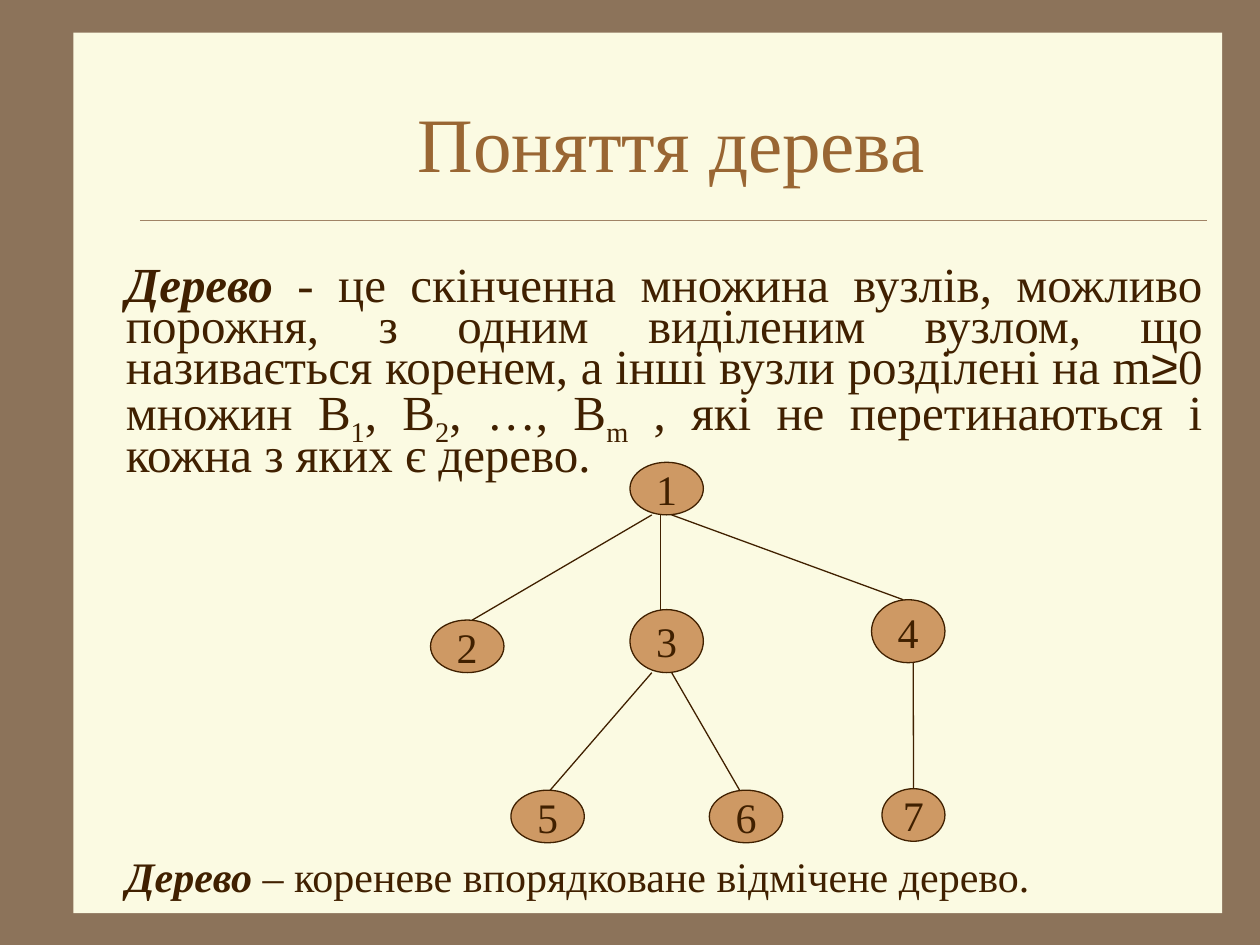
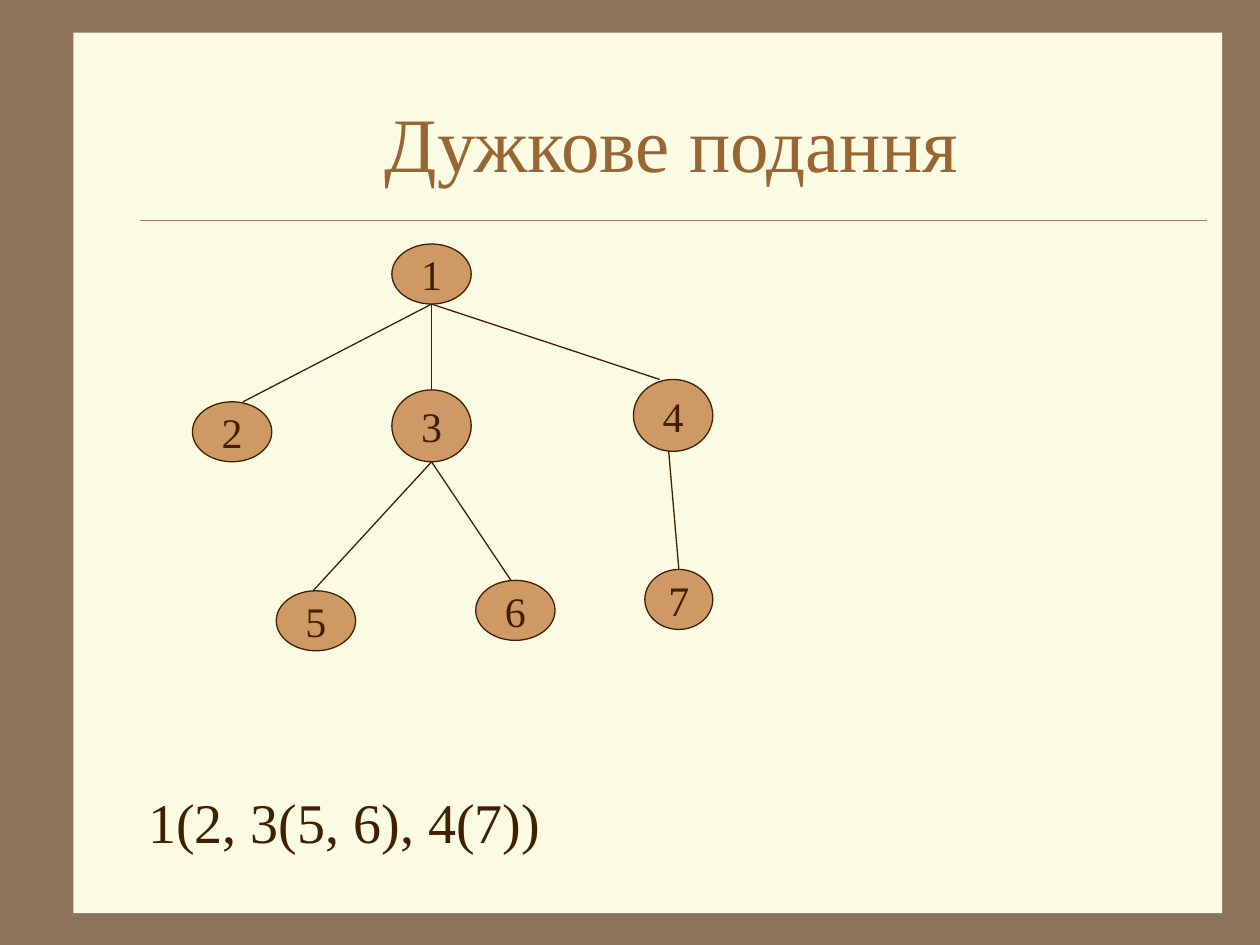
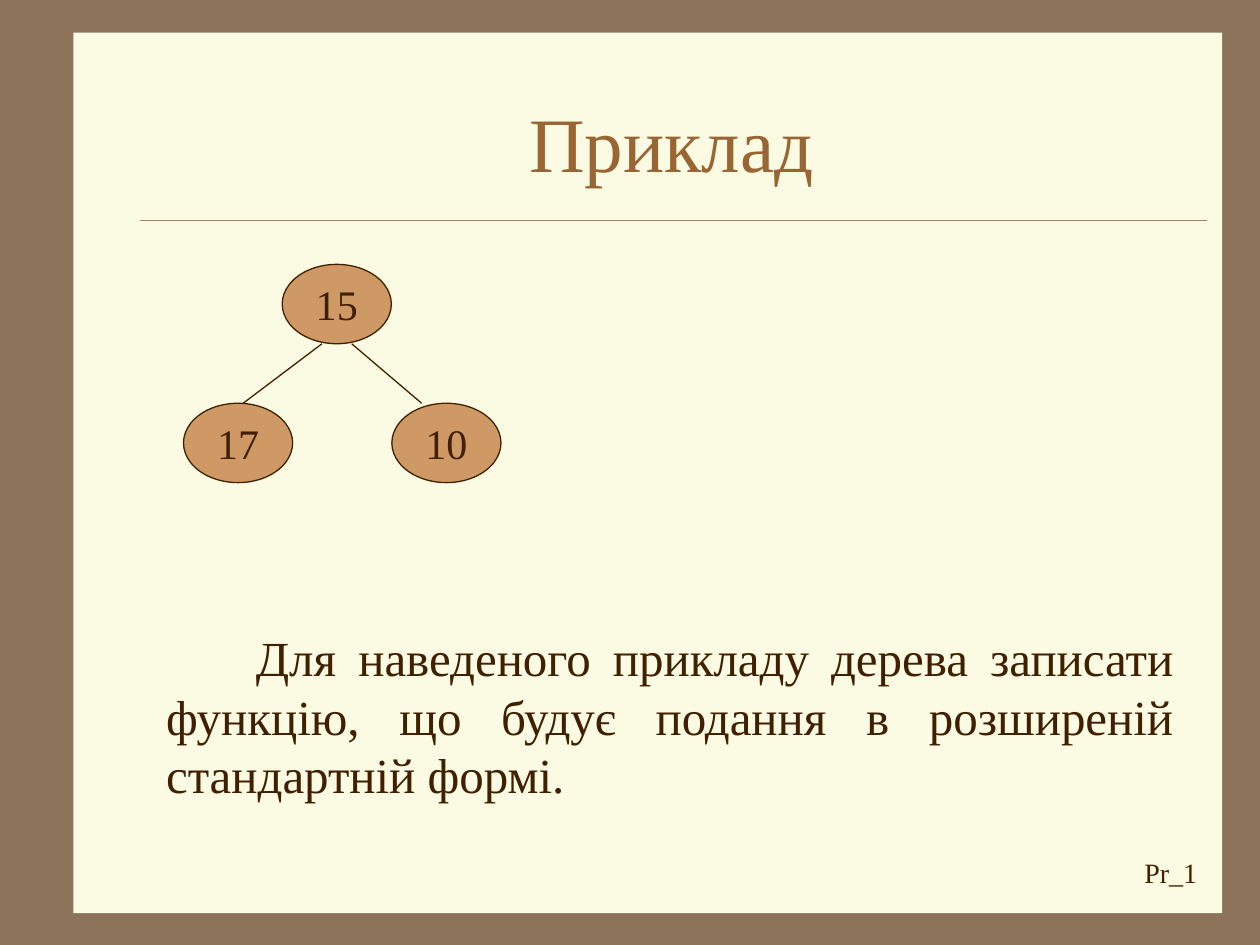
from collections import namedtuple

from lxml.etree import SubElement
from pptx import Presentation
from pptx.dml.color import RGBColor
from pptx.enum.shapes import MSO_CONNECTOR, MSO_SHAPE
from pptx.enum.text import MSO_ANCHOR, PP_ALIGN
from pptx.oxml.ns import qn
from pptx.util import Cm, Pt

FRAME = RGBColor(0x8C, 0x73, 0x5A)
PAPER = RGBColor(0xFB, 0xFA, 0xE2)
RULE = RGBColor(0xA0, 0x83, 0x66)
TITLE = RGBColor(0x99, 0x66, 0x33)
INK = RGBColor(0x40, 0x20, 0x00)
NODE = RGBColor(0xCE, 0x99, 0x64)
FONT = "Times New Roman"

# Sizes and positions are in centimetres
Node = namedtuple("Node", "left top width height")
# Shifts move the ends of an edge sideways from the node centres
Edge = namedtuple("Edge", "parent child start_shift end_shift")

DEFINITION_NODES = {
    "1": Node(12.7, 9.32, 1.48, 1.06),
    "2": Node(8.68, 12.5, 1.48, 1.06),
    "3": Node(12.7, 12.29, 1.48, 1.27),
    "4": Node(17.57, 12.09, 1.48, 1.27),
    "5": Node(10.3, 15.93, 1.48, 1.06),
    "6": Node(14.3, 15.93, 1.48, 1.06),
    "7": Node(17.78, 15.9, 1.27, 1.06),
}
DEFINITION_EDGES = [
    Edge("1", "2", -0.3, 0.1),
    Edge("1", "3", -0.13, -0.13),
    Edge("1", "4", 0.1, -0.1),
    Edge("3", "5", -0.3, 0.05),
    Edge("3", "6", 0.1, -0.13),
    Edge("4", "7", 0.1, 0),
]
BRACKET_NODES = {
    "1": Node(7.9, 4.92, 1.6, 1.21),
    "2": Node(3.88, 8.1, 1.6, 1.21),
    "3": Node(7.9, 7.86, 1.6, 1.45),
    "4": Node(12.77, 7.65, 1.6, 1.45),
    "5": Node(5.57, 11.91, 1.6, 1.21),
    "6": Node(9.59, 11.7, 1.6, 1.21),
    "7": Node(13, 11.48, 1.37, 1.21),
}
BRACKET_EDGES = [
    Edge("1", "2", 0, 0.22),
    Edge("1", "3", 0, 0),
    Edge("1", "4", 0, -0.27),
    Edge("3", "5", 0, -0.06),
    Edge("3", "6", 0, -0.09),
    Edge("4", "7", -0.09, 0),
]
EXAMPLE_NODES = {
    "15": Node(5.69, 5.33, 2.2, 1.6),
    "17": Node(3.7, 8.13, 2.2, 1.6),
    "10": Node(7.9, 8.13, 2.2, 1.6),
}
EXAMPLE_EDGES = [
    Edge("15", "17", -0.3, 0.1),
    Edge("15", "10", 0.3, -0.5),
]

# Run formats
TERM = {"bold": True, "italic": True}
SUBSCRIPT = {"baseline": -25}


def write_text(frame, runs, size=28, color=INK, align=PP_ALIGN.LEFT,
               anchor=MSO_ANCHOR.TOP, wrap=True, line_spacing=None, first_indent=0):
    """Fill a text frame with one paragraph of (text, format) runs."""
    frame.word_wrap = wrap
    frame.vertical_anchor = anchor
    paragraph = frame.paragraphs[0]
    paragraph.alignment = align
    if line_spacing:
        paragraph.line_spacing = line_spacing
    if first_indent:
        paragraph._p.get_or_add_pPr().set("indent", str(Cm(first_indent)))
    for text, style in runs:
        run = paragraph.add_run()
        run.text = text
        run.font.name = style.get("font", FONT)
        run.font.size = Pt(size)
        run.font.color.rgb = color
        run.font.bold = style.get("bold", False)
        run.font.italic = style.get("italic", False)
        if "baseline" in style:
            run._r.get_or_add_rPr().set("baseline", str(style["baseline"] * 1000))


def add_text(slide, runs, left, top, width, height, **text_format):
    box = slide.shapes.add_textbox(Cm(left), Cm(top), Cm(width), Cm(height))
    write_text(box.text_frame, runs, **text_format)


def add_line(slide, start_x, start_y, end_x, end_y, color=INK, weight=0.75):
    line = slide.shapes.add_connector(
        MSO_CONNECTOR.STRAIGHT, Cm(start_x), Cm(start_y), Cm(end_x), Cm(end_y))
    line.line.color.rgb = color
    line.line.width = Pt(weight)
    SubElement(line._element.spPr, qn("a:effectLst"))


def add_filled_shape(slide, kind, left, top, width, height, fill):
    shape = slide.shapes.add_shape(kind, Cm(left), Cm(top), Cm(width), Cm(height))
    shape.shadow.inherit = False
    shape.fill.solid()
    shape.fill.fore_color.rgb = fill
    return shape


def add_tree(slide, nodes, edges):
    for label, node in nodes.items():
        ellipse = add_filled_shape(slide, MSO_SHAPE.OVAL, *node, NODE)
        ellipse.line.color.rgb = INK
        ellipse.line.width = Pt(0.75)
        write_text(ellipse.text_frame, [(label, {})], size=24, wrap=False,
                   align=PP_ALIGN.CENTER, anchor=MSO_ANCHOR.MIDDLE)
    for edge in edges:
        parent, child = nodes[edge.parent], nodes[edge.child]
        add_line(slide,
                 parent.left + parent.width / 2 + edge.start_shift,
                 parent.top + parent.height,
                 child.left + child.width / 2 + edge.end_shift,
                 child.top)


def add_titled_slide(presentation, title):
    """Start a slide with the shared frame, paper, rule and title."""
    slide = presentation.slides.add_slide(presentation.slide_layouts[6])
    slide.background.fill.solid()
    slide.background.fill.fore_color.rgb = FRAME
    paper = add_filled_shape(slide, MSO_SHAPE.RECTANGLE, 1.48, 0.66, 23.16, 17.75, PAPER)
    paper.line.fill.background()
    add_line(slide, 2.82, 4.44, 24.34, 4.44, color=RULE, weight=0.25)
    add_text(slide, [(title, {})], 2.74, 1.27, 21.59, 3.18, size=44, color=TITLE,
             align=PP_ALIGN.CENTER, anchor=MSO_ANCHOR.MIDDLE)
    return slide


def build_definition(presentation):
    slide = add_titled_slide(presentation, "Поняття дерева")
    definition = [
        ("Дерево", TERM),
        (" - це скінченна множина вузлів, можливо порожня, з одним виділеним вузлом, "
         "що називається коренем, а інші вузли розділені на m", {}),
        ("≥", {"font": "Arial"}),
        ("0 множин B", {}),
        ("1", SUBSCRIPT),
        (", B", {}),
        ("2", SUBSCRIPT),
        (", …, B", {}),
        ("m", SUBSCRIPT),
        (" , які не перетинаються і кожна з яких є дерево.", {}),
    ]
    add_text(slide, definition, 2.29, 5.31, 22.2, 4.6,
             align=PP_ALIGN.JUSTIFY, line_spacing=0.7)
    add_text(slide, [("Дерево", TERM), (" – кореневе впорядковане відмічене дерево.", {})],
             2.29, 17.03, 22.2, 1.3, size=24)
    add_tree(slide, DEFINITION_NODES, DEFINITION_EDGES)


def build_brackets(presentation):
    slide = add_titled_slide(presentation, "Дужкове подання")
    add_text(slide, [("1(2, 3(5, 6), 4(7))", {})], 2.74, 15.75, 21.59, 1.8, size=32)
    add_tree(slide, BRACKET_NODES, BRACKET_EDGES)


def build_example(presentation):
    slide = add_titled_slide(presentation, "Приклад")
    add_tree(slide, EXAMPLE_NODES, EXAMPLE_EDGES)
    task = ("Для наведеного прикладу дерева записати функцію, "
            "що будує подання в розширеній стандартній формі.")
    add_text(slide, [(task, {})], 3.1, 12.52, 20.8, 3.81,
             align=PP_ALIGN.JUSTIFY, first_indent=1.81)
    add_text(slide, [("Pr_1", {})], 22.5, 17.12, 2.2, 0.94, size=16,
             align=PP_ALIGN.CENTER)


def main():
    presentation = Presentation()
    presentation.slide_width = Cm(25.4)
    presentation.slide_height = Cm(19.05)
    build_definition(presentation)
    build_brackets(presentation)
    build_example(presentation)
    presentation.save("out.pptx")


if __name__ == "__main__":
    main()
